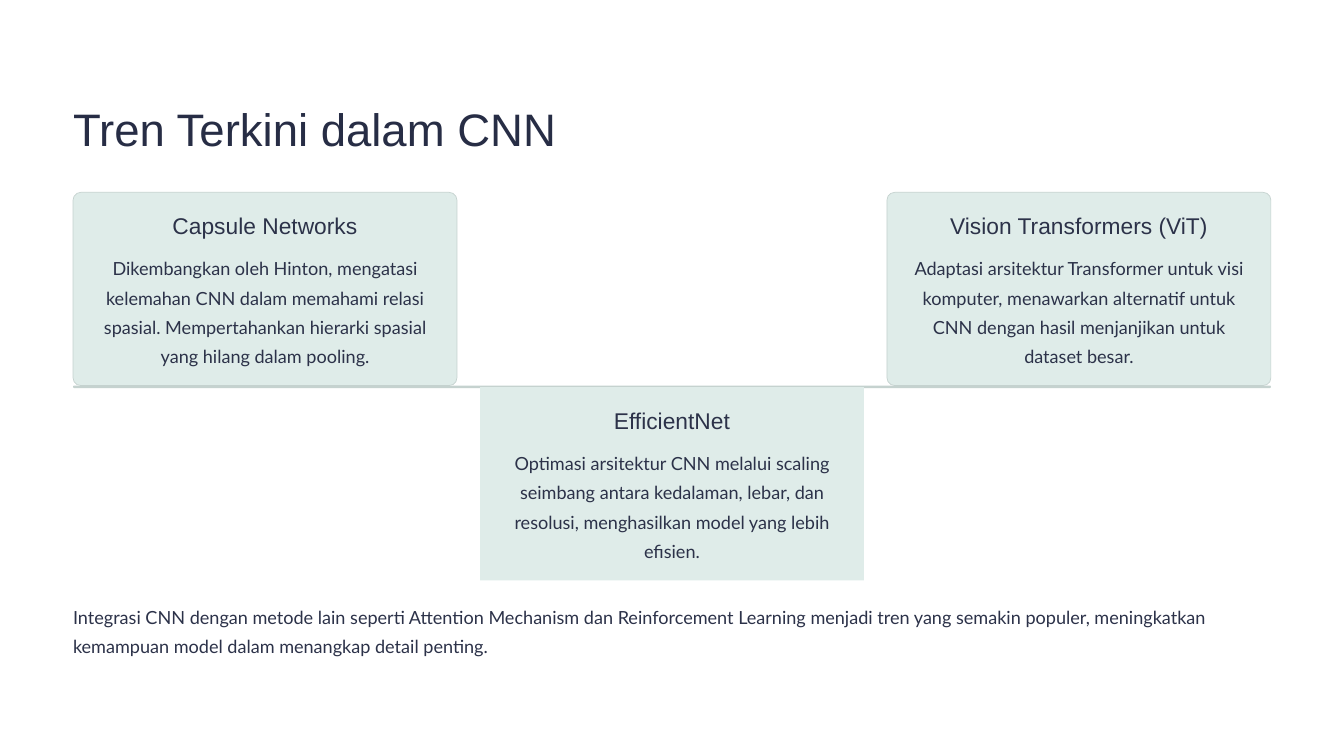
"""Build the slide on current trends in CNN: three cards along a timeline."""
from pptx import Presentation
from pptx.dml.color import RGBColor
from pptx.enum.shapes import MSO_SHAPE
from pptx.enum.text import PP_ALIGN
from pptx.util import Inches, Pt

WHITE = RGBColor(0xFF, 0xFF, 0xFF)
NAVY = RGBColor(0x27, 0x2D, 0x45)
INK = RGBColor(0x2C, 0x32, 0x49)
MINT = RGBColor(0xDF, 0xEC, 0xE9)
SAGE = RGBColor(0xC5, 0xD2, 0xCF)

TITLE = {"name": "Arial", "size": Pt(39), "color": NAVY, "leading": 48.5, "wrap": False}
HEADING = {"name": "Arial", "size": Pt(19.5), "color": INK, "leading": 24, "wrap": False}
BODY = {"name": "Lato", "size": Pt(15.5), "color": INK, "leading": 25, "wrap": True}

deck = Presentation()
deck.slide_width, deck.slide_height = Inches(16), Inches(9)
slide = deck.slides.add_slide(deck.slide_layouts[6])
slide.background.fill.solid()
slide.background.fill.fore_color.rgb = WHITE


def add_text(words, left, top, width, height, style, align=PP_ALIGN.LEFT):
    box = slide.shapes.add_textbox(*map(Inches, (left, top, width, height)))
    frame = box.text_frame
    for side in ("left", "top", "right", "bottom"):
        setattr(frame, f"margin_{side}", 0)
    frame.word_wrap = style["wrap"]
    paragraph = frame.paragraphs[0]
    paragraph.text = words
    paragraph.alignment = align
    paragraph.line_spacing = Pt(style["leading"])
    font = paragraph.runs[0].font
    for key in ("name", "size"):
        setattr(font, key, style[key])
    font.color.rgb = style["color"]


def add_panel(preset, left, top, width, height, fill, corner=None, border=None):
    panel = slide.shapes.add_shape(preset, *map(Inches, (left, top, width, height)))
    panel.shadow.inherit = False
    panel.fill.solid()
    panel.fill.fore_color.rgb = fill
    if corner is not None:
        panel.adjustments[0] = corner
    if border is None:
        panel.line.fill.background()
    else:
        panel.line.color.rgb = border
        panel.line.width = Pt(0.6)


MARGIN = 0.87
CONTENT_W = 16 - 2 * MARGIN
CARD_W, CARD_H = 4.57, 2.3
PITCH = (CONTENT_W - CARD_W) / 2
PAD = 0.22
UPPER, LOWER = 2.29, 4.61
AXIS_TOP = UPPER + CARD_H

trends = [
    ("Capsule Networks", UPPER,
     "Dikembangkan oleh Hinton, mengatasi kelemahan CNN dalam memahami relasi spasial. "
     "Mempertahankan hierarki spasial yang hilang dalam pooling."),
    ("EfficientNet", LOWER,
     "Optimasi arsitektur CNN melalui scaling seimbang antara kedalaman, lebar, dan "
     "resolusi, menghasilkan model yang lebih efisien."),
    ("Vision Transformers (ViT)", UPPER,
     "Adaptasi arsitektur Transformer untuk visi komputer, menawarkan alternatif untuk "
     "CNN dengan hasil menjanjikan untuk dataset besar."),
]

add_text("Tren Terkini dalam CNN", MARGIN, 1.18, 6, 0.68, TITLE)
add_panel(MSO_SHAPE.ROUNDED_RECTANGLE, MARGIN, AXIS_TOP, CONTENT_W, 0.03, SAGE, corner=0.5)

for column, (heading, top, summary) in enumerate(trends):
    left = MARGIN + column * PITCH
    if top == UPPER:
        add_panel(MSO_SHAPE.ROUNDED_RECTANGLE, left, top, CARD_W, CARD_H, MINT, 0.04, SAGE)
    else:
        add_panel(MSO_SHAPE.RECTANGLE, left, top, CARD_W, CARD_H, MINT)
    text_w = CARD_W - 2 * PAD
    add_text(heading, left + PAD, top + PAD, text_w, 0.34, HEADING, PP_ALIGN.CENTER)
    add_text(summary, left + PAD, top + 0.69, text_w, 1.39, BODY, PP_ALIGN.CENTER)

add_text("Integrasi CNN dengan metode lain seperti Attention Mechanism dan Reinforcement "
         "Learning menjadi tren yang semakin populer, meningkatkan kemampuan model dalam "
         "menangkap detail penting.", MARGIN, 7.13, CONTENT_W, 0.69, BODY)

deck.save("out.pptx")
